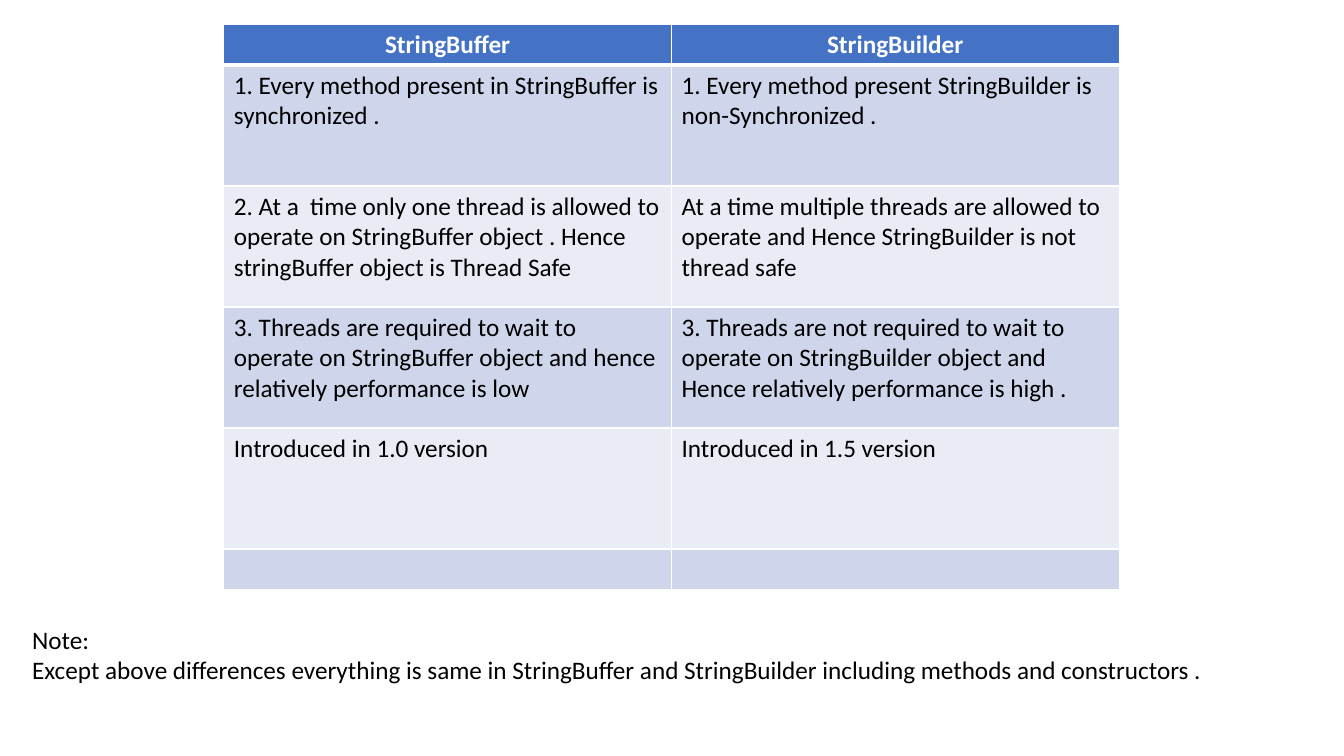
"""Build a slide comparing StringBuffer and StringBuilder in a table with a note."""
from pptx import Presentation
from pptx import util as u
from pptx.dml.color import RGBColor
from pptx.enum import text
from pptx.oxml import parse_xml
from pptx.oxml.ns import nsdecls


def add_run(p, words, color="000000", bold=False):
    r = p.add_run()
    r.text = words
    r.font.name = "Calibri"
    r.font.size = u.Pt(18)
    r.font.bold = bold
    r.font.color.rgb = RGBColor.from_string(color)


def add_border(cell, side, width):
    cell._tc.get_or_add_tcPr().append(parse_xml(
        f'<a:ln{side} {nsdecls("a")} w="{u.Pt(width)}"><a:solidFill>'
        f'<a:srgbClr val="FFFFFF"/></a:solidFill></a:ln{side}>'))


rows = [
    ("StringBuffer", "StringBuilder"),
    ("1. Every method present in StringBuffer is synchronized .",
     "1. Every method present StringBuilder is non-Synchronized ."),
    ("2. At a  time only one thread is allowed to operate on StringBuffer object . "
     "Hence stringBuffer object is Thread Safe ",
     "At a time multiple threads are allowed to operate and Hence StringBuilder "
     "is not thread safe "),
    ("3. Threads are required to wait to operate on StringBuffer object and hence "
     "relatively performance is low ",
     "3. Threads are not required to wait to operate on StringBuilder object and "
     "Hence relatively performance is high ."),
    ("Introduced in 1.0 version", "Introduced in 1.5 version "),
    ("", ""),
]
heights = [0.4, 1.2, 1.2, 1.2, 1.2, 0.4]

prs = Presentation()
prs.slide_width, prs.slide_height = u.Inches(13.33), u.Inches(7.5)
s = prs.slides.add_slide(prs.slide_layouts[6])

table = s.shapes.add_table(len(rows), 2, u.Inches(2.22), u.Inches(0.24),
                           u.Inches(8.88), u.Inches(sum(heights))).table
for i, (row, height) in enumerate(zip(rows, heights)):
    table.rows[i].height = u.Inches(height)
    header = i == 0
    fill = "4472C4" if header else ("CFD5EA" if i % 2 else "E9EBF5")
    for j, words in enumerate(row):
        cell = table.cell(i, j)
        for side in "LRTB":
            heavy = (i, side) in ((0, "B"), (1, "T"))
            add_border(cell, side, 3 if heavy else 1)
        cell.fill.solid()
        cell.fill.fore_color.rgb = RGBColor.from_string(fill)
        p = cell.text_frame.paragraphs[0]
        if header:
            p.alignment = text.PP_ALIGN.CENTER
        if words:
            add_run(p, words, "FFFFFF" if header else "000000", header)
        else:
            p.font.size = u.Pt(18)

note = s.shapes.add_textbox(u.Inches(0.22), u.Inches(6.14), u.Inches(12.89), u.Inches(0.71))
tf = note.text_frame
tf.word_wrap = True
tf.auto_size = text.MSO_AUTO_SIZE.SHAPE_TO_FIT_TEXT
add_run(tf.paragraphs[0], "Note: ")
add_run(tf.add_paragraph(), "Except above differences everything is same in StringBuffer "
        "and StringBuilder including methods and constructors .")

prs.save("out.pptx")
